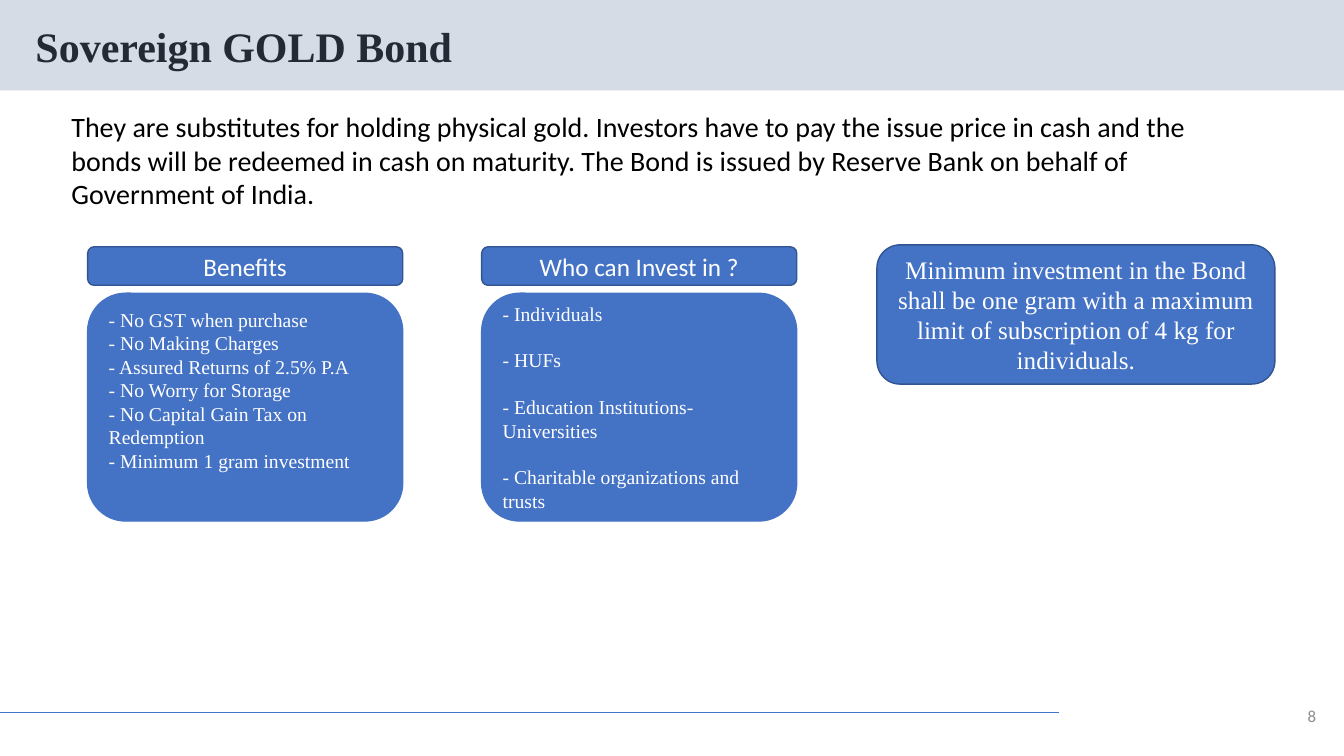
"""Build the Sovereign GOLD Bond slide."""
from dataclasses import dataclass

from lxml.etree import SubElement
from pptx import Presentation
from pptx.dml.color import RGBColor as Color
from pptx.enum.shapes import MSO_CONNECTOR as Connector, MSO_SHAPE as Shape
from pptx.enum.text import MSO_ANCHOR as Anchor, PP_ALIGN as Align
from pptx.oxml.ns import qn
from pptx.util import Cm, Pt

TITLE = "Sovereign GOLD Bond"
INTRO = (
    "They are substitutes for holding physical gold. Investors have to pay the issue price "
    "in cash and the bonds will be redeemed in cash on maturity. The Bond is issued by "
    "Reserve Bank on behalf of Government of India."
)
CARDS = [
    {
        "heading": "Benefits",
        "points": [
            "- No GST when purchase",
            "- No Making Charges",
            "- Assured Returns of 2.5% P.A",
            "- No Worry for Storage",
            "- No Capital Gain Tax on Redemption",
            "- Minimum 1 gram investment",
        ],
        "gap": 0,
        "bottom": 1.0,
    },
    {
        "heading": "Who can Invest in ?",
        "points": [
            "- Individuals",
            "- HUFs",
            "- Education Institutions-Universities",
            "- Charitable organizations and trusts",
        ],
        "gap": 16.5,
        "bottom": 0.13,
    },
]
LIMIT = (
    "Minimum investment in the Bond shall be one gram with a maximum limit of "
    "subscription of 4 kg for individuals."
)
PAGE_NUMBER = "8"

CARD_LEFT, CARD_PITCH, CARD_WIDTH = 2.21, 9.93, 7.94
HEADING_TOP, HEADING_HEIGHT = 6.22, 0.97
POINTS_TOP, POINTS_HEIGHT = 7.39, 5.74


@dataclass(frozen=True)
class Theme:
    """Colours, fonts and type sizes of the slide."""

    band: Color = Color.from_string("D6DCE5")
    blue: Color = Color.from_string("4472C4")
    edge: Color = Color.from_string("325491")
    ink: Color = Color.from_string("222A35")
    black: Color = Color.from_string("000000")
    white: Color = Color.from_string("FFFFFF")
    grey: Color = Color.from_string("8C8C8C")
    serif: str = "Times New Roman"
    sans: str = "Calibri"
    title: int = 30
    intro: int = 20
    heading: int = 18
    points: int = 14
    number: int = 12


THEME = Theme()


def write(box, lines, font, size, color, align=Align.LEFT, anchor=Anchor.MIDDLE, gap=0):
    """Fill a box with one paragraph per line."""
    frame = box.text_frame
    frame.word_wrap = True
    frame.vertical_anchor = anchor
    for index, line in enumerate(lines):
        para = frame.add_paragraph() if index else frame.paragraphs[0]
        para.text = line
        para.alignment = align
        para.space_before = Pt(gap if index else 0)
        para.font.name = font
        para.font.size = Pt(size)
        para.font.color.rgb = color


def add_panel(page, place, shape, fill, edge=None):
    """Add a flat filled shape with an optional outline."""
    panel = page.shapes.add_shape(shape, *map(Cm, place))
    panel.shadow.inherit = False
    panel.fill.solid()
    panel.fill.fore_color.rgb = fill
    if edge is None:
        panel.line.fill.background()
    else:
        panel.line.color.rgb = edge
        panel.line.width = Pt(1)
    return panel


def add_header(page, width):
    """Place the title on its full-width band."""
    title = page.shapes.title
    band = add_panel(page, (0, 0, width, 2.28), Shape.RECTANGLE, THEME.band)
    title._element.addprevious(band._element)
    title.left, title.top, title.width, title.height = map(Cm, (0.64, 0.53, 29.2, 1.42))
    write(title, [TITLE], THEME.serif, THEME.title, THEME.ink)
    para = title.text_frame.paragraphs[0]
    para.font.bold = True
    para.line_spacing = 0.9


def add_footer(page):
    """Draw the footer rule and the page number."""
    rule = page.shapes.add_connector(Connector.STRAIGHT, *map(Cm, (0, 17.94, 26.7, 17.94)))
    rule.line.color.rgb = THEME.blue
    rule.line.width = Pt(0.5)
    SubElement(rule._element.spPr, qn("a:effectLst"))
    number = page.shapes.add_textbox(*map(Cm, (32.33, 17.63, 1.09, 0.81)))
    write(number, [PAGE_NUMBER], THEME.sans, THEME.number, THEME.grey, Align.RIGHT)


def add_card(page, column, card):
    """Draw one heading with its list of points below."""
    left = CARD_LEFT + column * CARD_PITCH
    points = add_panel(page, (left, POINTS_TOP, CARD_WIDTH, POINTS_HEIGHT),
                       Shape.ROUNDED_RECTANGLE, THEME.blue, THEME.blue)
    points.text_frame.margin_bottom = Cm(card["bottom"])
    write(points, card["points"], THEME.serif, THEME.points, THEME.white, gap=card["gap"])
    heading = add_panel(page, (left, HEADING_TOP, CARD_WIDTH, HEADING_HEIGHT),
                        Shape.ROUNDED_RECTANGLE, THEME.blue, THEME.edge)
    write(heading, [card["heading"]], THEME.sans, THEME.heading, THEME.white, Align.CENTER)


def main():
    """Assemble and save the deck."""
    deck = Presentation()
    deck.slide_width, deck.slide_height = Cm(33.87), Cm(19.05)
    page = deck.slides.add_slide(deck.slide_layouts[5])
    add_header(page, 33.87)
    add_footer(page)
    intro = page.shapes.add_textbox(*map(Cm, (1.55, 2.64, 29.31, 2.82)))
    write(intro, [INTRO], THEME.sans, THEME.intro, THEME.black, anchor=Anchor.TOP)
    for column, card in enumerate(CARDS):
        add_card(page, column, card)
    limit = add_panel(page, (22.1, 6.17, 10.03, 3.51),
                      Shape.ROUNDED_RECTANGLE, THEME.blue, THEME.edge)
    write(limit, [LIMIT], THEME.serif, THEME.heading, THEME.white, Align.CENTER)
    deck.save("out.pptx")


if __name__ == "__main__":
    main()
